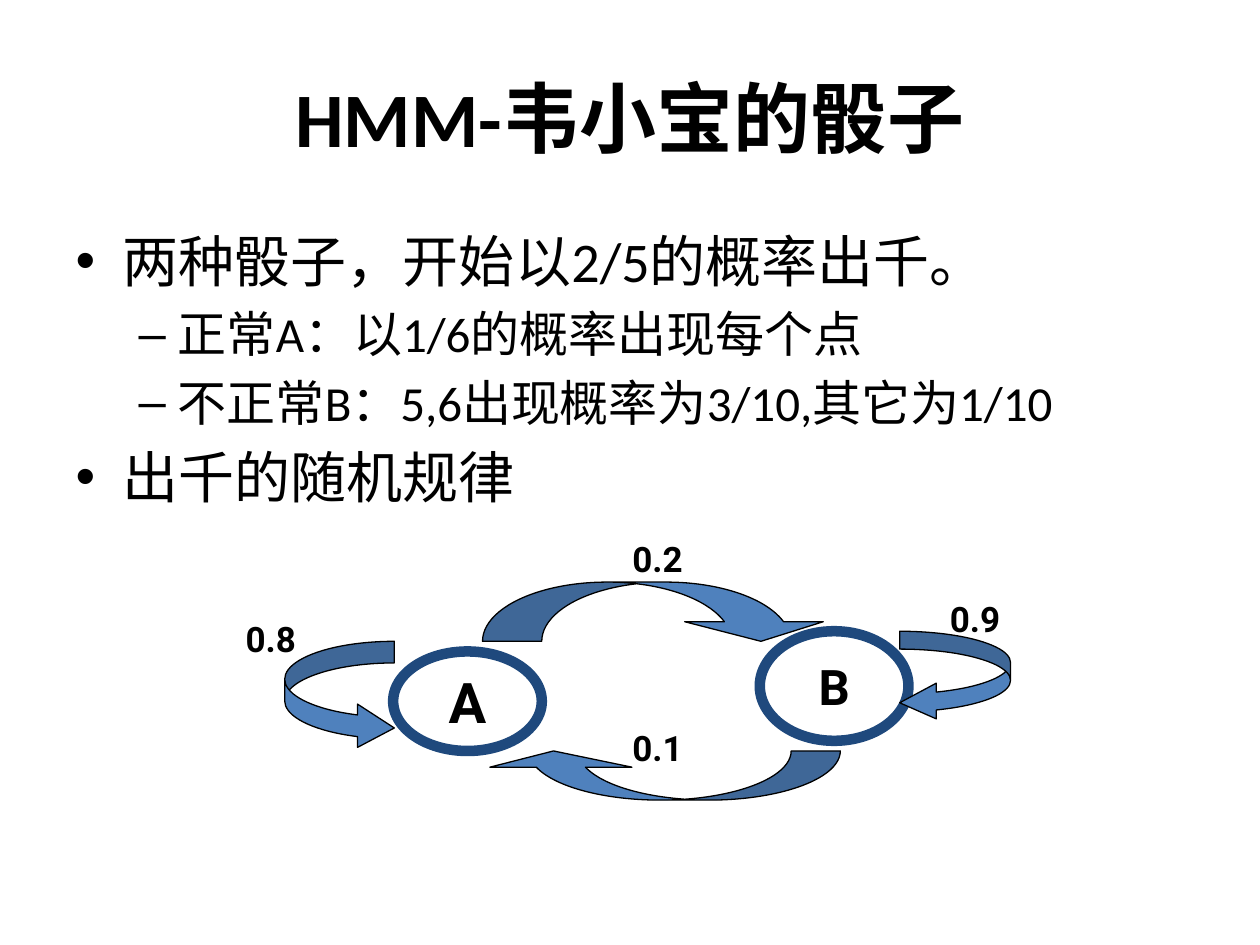
from pptx import Presentation
from pptx.dml.color import RGBColor
from pptx.enum.shapes import MSO_SHAPE
from pptx.enum.text import MSO_ANCHOR, PP_ALIGN
from pptx.oxml.ns import qn
from pptx.util import Inches, Pt

OVAL = MSO_SHAPE.OVAL
UP, DOWN = MSO_SHAPE.CURVED_UP_ARROW, MSO_SHAPE.CURVED_DOWN_ARROW
RIGHT, LEFT = MSO_SHAPE.CURVED_RIGHT_ARROW, MSO_SHAPE.CURVED_LEFT_ARROW
MIDDLE, CENTER = MSO_ANCHOR.MIDDLE, PP_ALIGN.CENTER

THEME = {
    "ink": RGBColor(0, 0, 0), "white": RGBColor(255, 255, 255),
    "blue": RGBColor(0x4F, 0x81, 0xBD), "navy": RGBColor(0x1F, 0x49, 0x7D),
    "text": "Calibri", "graph": "Roboto",
    "title": 44, "levels": (32, 28), "label": 20, "ring": 6, "edge": 0.75,
}

TITLE = "HMM-韦小宝的骰子".replace("-", "-")
POINTS = [
    (0, "两种骰子，开始以2/5的概率出千。"),
    (1, "正常A：以1/6的概率出现每个点"),
    (1, "不正常B：5,6出现概率为3/10,其它为1/10"),
    (0, "出千的随机规律"),
]
STATES = [
    ("A", 32, (3.12, 5.17, 1.18, 0.79)),
    ("B", 28, (6.03, 5.01, 1.18, 0.87)),
]
ARROWS = [
    (UP, True, (3.83, 5.96, 2.84, 0.39), (1.45, 2.89, 0.33)),
    (DOWN, False, (3.83, 4.62, 2.76, 0.47), (1.17, 2.34, 0.33)),
    (RIGHT, False, (2.26, 5.09, 0.87, 0.86), (0.2, 0.4, 0.34)),
    (LEFT, False, (7.14, 5.01, 0.88, 0.71), (0.2, 0.4, 0.41)),
]
LABELS = [("0.8", 1.85, 4.85), ("0.2", 4.92, 4.22),
          ("0.9", 7.44, 4.69), ("0.1", 4.92, 5.72)]
LABEL_SIZE = (0.71, 0.43)


def place(item, box):
    item.left, item.top, item.width, item.height = map(Inches, box)


def style(para, face, size, bold=False):
    font = para.font
    font.name, font.size, font.bold = THEME[face], Pt(size), bold
    font.color.rgb = THEME["ink"]


def draw(kind, box, fill, line, width):
    shape = slide.shapes.add_shape(kind, *map(Inches, box))
    shape.shadow.inherit = False
    shape.fill.solid()
    shape.fill.fore_color.rgb = THEME[fill]
    shape.line.color.rgb = THEME[line]
    shape.line.width = Pt(THEME[width])
    return shape


deck = Presentation()
deck.slide_width, deck.slide_height = Inches(10), Inches(7.5)
slide = deck.slides.add_slide(deck.slide_layouts[1])

title, body = slide.placeholders
place(title, (0.5, 0.3, 9, 1.25))
title.text_frame.text = TITLE
style(title.text_frame.paragraphs[0], "text", THEME["title"], True)

place(body, (0.5, 1.75, 9, 2.74))
frame = body.text_frame
frame.text = "\n".join(text for _, text in POINTS)
for para, (level, _) in zip(frame.paragraphs, POINTS):
    para.level = level
    style(para, "text", THEME["levels"][level])

for name, size, box in STATES:
    frame = draw(OVAL, box, "white", "navy", "ring").text_frame
    frame.text = name
    frame.word_wrap = False
    frame.vertical_anchor = MIDDLE
    para = frame.paragraphs[0]
    para.alignment = CENTER
    style(para, "graph", size, True)

for kind, flip, box, bends in ARROWS:
    arrow = draw(kind, box, "blue", "ink", "edge")
    for i, bend in enumerate(bends):
        arrow.adjustments[i] = bend
    if flip:
        arrow._element.spPr.find(qn("a:xfrm")).set("flipH", "1")

for text, left, top in LABELS:
    box = slide.shapes.add_textbox(*map(Inches, (left, top, *LABEL_SIZE)))
    frame = box.text_frame
    frame.word_wrap = True
    frame.text = text
    style(frame.paragraphs[0], "graph", THEME["label"], True)

deck.save("out.pptx")
